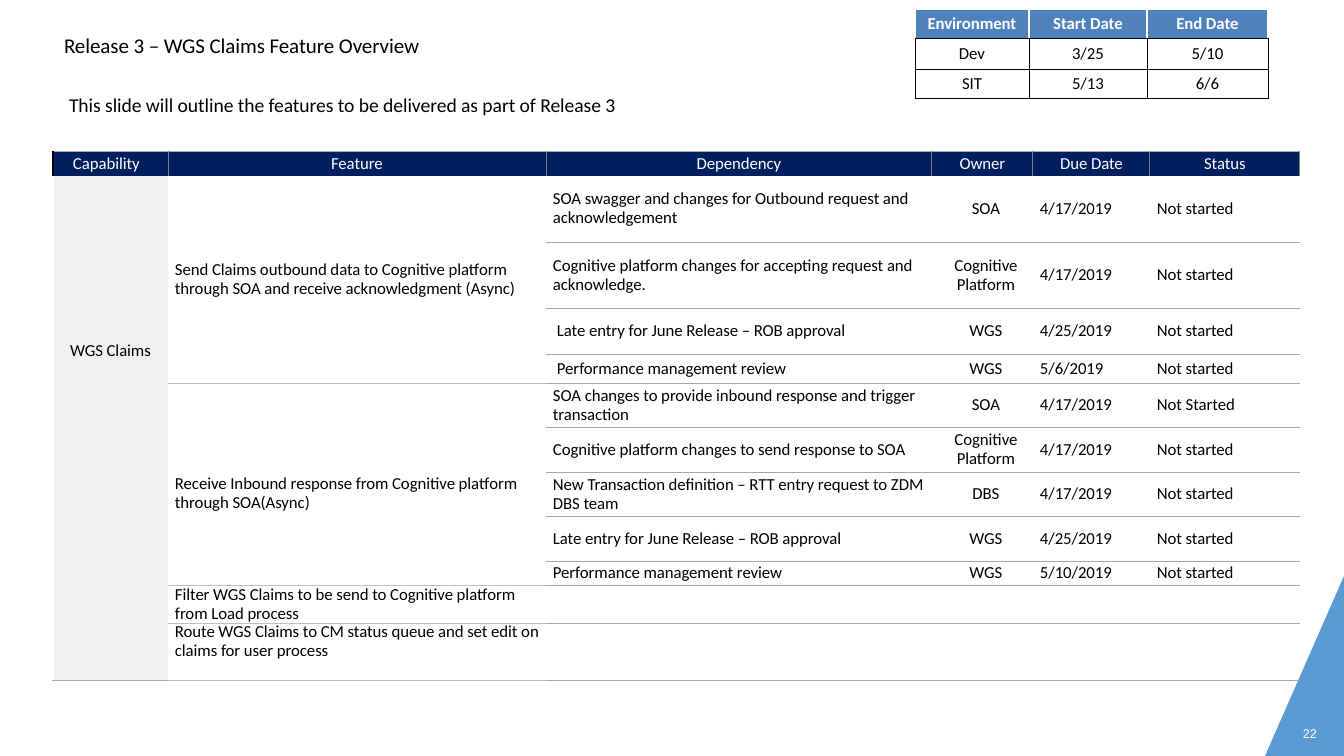
from lxml.etree import SubElement
from pptx import Presentation
from pptx.dml.color import RGBColor
from pptx.enum.text import MSO_ANCHOR as Anchor, PP_ALIGN as Align
from pptx.oxml.ns import qn
from pptx.util import Emu, Pt

EMU_PER_PX = 914400 / 100.8
NO_GRID_STYLE = "{2D5ABB26-0587-4C30-8999-92F81FD0307C}"
BLACK = RGBColor(0x00, 0x00, 0x00)
WHITE = RGBColor(0xFF, 0xFF, 0xFF)
NAVY = RGBColor(0x00, 0x1F, 0x5F)
BLUE = RGBColor(0x4F, 0x81, 0xBD)
CORNER_BLUE = RGBColor(0x5B, 0x9B, 0xD4)
PALE_GRAY = RGBColor(0xF1, 0xF1, 0xF1)
LIGHT_GRAY = RGBColor(0xBF, 0xBF, 0xBF)
MID_GRAY = RGBColor(0xA6, 0xA6, 0xA6)
DARK_GRAY = RGBColor(0x7E, 0x7E, 0x7E)


def px(*lengths):
    return [Emu(round(length * EMU_PER_PX)) for length in lengths]


def write(holder, text, size=12, color=BLACK, bold=False, font="Calibri",
          align=Align.LEFT, anchor=Anchor.MIDDLE, margins=(0, 0, 0, 0),
          line_spacing=None, fill=None, borders=()):
    frame = holder.text_frame
    frame.word_wrap = True
    target = frame if hasattr(holder, "shape_id") else holder
    (target.margin_left, target.margin_top,
     target.margin_right, target.margin_bottom) = px(*margins)
    target.vertical_anchor = anchor
    paragraph = frame.paragraphs[0]
    paragraph.alignment = align
    if line_spacing:
        paragraph.line_spacing = Pt(line_spacing)
    run = paragraph.add_run()
    run.text = text
    run.font.size, run.font.name, run.font.bold = Pt(size), font, bold
    run.font.color.rgb = color
    run.font._element.set("spc", "-5")
    if target is holder:
        properties = holder._tc.get_or_add_tcPr()
        for side, line_color, width in sorted(borders, key=lambda b: "LRTB".index(b[0])):
            line = SubElement(properties, qn(f"a:ln{side}"), w=str(Pt(width)))
            solid = SubElement(line, qn("a:solidFill"))
            SubElement(solid, qn("a:srgbClr"), val=str(line_color))
        if fill is None:
            holder.fill.background()
        else:
            holder.fill.solid()
            holder.fill.fore_color.rgb = fill


presentation = Presentation()
presentation.slide_width, presentation.slide_height = px(1344, 756)
slide = presentation.slides.add_slide(presentation.slide_layouts[6])

builder = slide.shapes.build_freeform(1344, 576, scale=EMU_PER_PX)
builder.add_line_segments([(1265, 756), (1344, 756)], close=True)
corner = builder.convert_to_shape()
corner.shadow.inherit = False
corner.fill.solid()
corner.fill.fore_color.rgb = CORNER_BLUE
corner.line.fill.background()

for text, box, style in [
    ("Release 3 – WGS Claims Feature Overview", (64, 32, 600, 26), dict(size=15)),
    ("This slide will outline the features to be delivered as part of Release 3",
     (69, 92, 600, 25), dict(size=14)),
    ("22", (1303, 725, 20, 17), dict(size=9, color=WHITE, font="Arial")),
]:
    write(slide.shapes.add_textbox(*px(*box)), text, **style)

tables = []
for left, top, widths, heights in [
    (53, 151, (115, 378, 386, 101, 117, 150),
     (25, 67, 66, 46, 29, 44, 45, 44, 45, 24, 38, 57)),
    (915, 9, (114, 118, 121), (29, 31, 30)),
]:
    table_shape = slide.shapes.add_table(
        len(heights), len(widths), *px(left, top, sum(widths), sum(heights)))
    table_shape._element.find(".//" + qn("a:tableStyleId")).text = NO_GRID_STYLE
    table = table_shape.table
    table.first_row = table.horz_banding = False
    for column, width in zip(table.columns, px(*widths)):
        column.width = width
    for row, height in zip(table.rows, px(*heights)):
        row.height = height
    tables.append(table)
features, environments = tables

headers = ["Capability", "Feature", "Dependency", "Owner", "Due Date", "Status"]
for column, header in enumerate(headers):
    write(features.cell(0, column), header, color=WHITE, fill=NAVY, anchor=Anchor.TOP,
          align=Align.CENTER if column else Align.LEFT,
          margins=(0 if column else 20, 3, 0, 0),
          borders=[("L", DARK_GRAY if column else BLACK, 0.75 if column else 1),
                   ("R", DARK_GRAY, 0.75), ("T", MID_GRAY, 0.75)])

features.cell(1, 0).merge(features.cell(11, 0))
write(features.cell(1, 0), "WGS Claims", fill=PALE_GRAY, align=Align.CENTER,
      anchor=Anchor.TOP, margins=(0, 165, 0, 0),
      borders=[("L", WHITE, 1), ("B", MID_GRAY, 0.75)])

for first, last, feature, anchor, top in [
    (1, 4, "Send Claims outbound data to Cognitive platform through SOA "
           "and receive acknowledgment (Async)", Anchor.MIDDLE, 0),
    (5, 9, "Receive Inbound response from Cognitive platform through SOA(Async)",
     Anchor.MIDDLE, 18),
    (10, 10, "Filter WGS Claims to be send to Cognitive platform from Load process",
     Anchor.MIDDLE, 0),
    (11, 11, "Route WGS Claims to CM status queue and set edit on claims for user process",
     Anchor.TOP, 0),
]:
    if last > first:
        features.cell(first, 1).merge(features.cell(last, 1))
    edges = [("B", LIGHT_GRAY, 0.75)]
    if first > 1:
        edges.append(("T", LIGHT_GRAY, 0.75))
    write(features.cell(first, 1), feature, anchor=anchor, margins=(7, top, 0, 0),
          line_spacing=13.4, borders=edges)

dependencies = [
    ("SOA swagger and changes for Outbound request and acknowledgement",
     "SOA", "4/17/2019", "Not started"),
    ("Cognitive platform changes for accepting request and acknowledge.",
     "Cognitive Platform", "4/17/2019", "Not started"),
    ("Late entry for June Release – ROB approval", "WGS", "4/25/2019", "Not started"),
    ("Performance management review", "WGS", "5/6/2019", "Not started"),
    ("SOA changes to provide inbound response and trigger transaction",
     "SOA", "4/17/2019", "Not Started"),
    ("Cognitive platform changes to send response to SOA",
     "Cognitive Platform", "4/17/2019", "Not started"),
    ("New Transaction definition – RTT entry request to ZDM DBS team",
     "DBS", "4/17/2019", "Not started"),
    ("Late entry for June Release – ROB approval", "WGS", "4/25/2019", "Not started"),
    ("Performance management review", "WGS", "5/10/2019", "Not started"),
    ("", "", "", ""),
    ("", "", "", ""),
]
for row, values in enumerate(dependencies, start=1):
    for column, value in enumerate(values, start=2):
        indent = 11 if column == 2 and row in (3, 4) else 7
        write(features.cell(row, column), value, margins=(indent, 0, 0, 0),
              align=Align.CENTER if column == 3 else Align.LEFT,
              line_spacing=13.4, borders=[("B", MID_GRAY, 0.75)])

schedule = [("Environment", "Start Date", "End Date"),
            ("Dev", "3/25", "5/10"), ("SIT", "5/13", "6/6")]
for row, values in enumerate(schedule):
    is_header = row == 0
    edge, width = (WHITE, 1) if is_header else (BLACK, 0.75)
    for column, value in enumerate(values):
        write(environments.cell(row, column), value, bold=is_header, align=Align.CENTER,
              color=WHITE if is_header else BLACK, fill=BLUE if is_header else None,
              margins=(10, 4, 10, 4),
              borders=[("L", edge, width), ("R", edge, width),
                       ("T", WHITE if is_header else BLACK, width), ("B", BLACK, 0.75)])

presentation.save("out.pptx")
